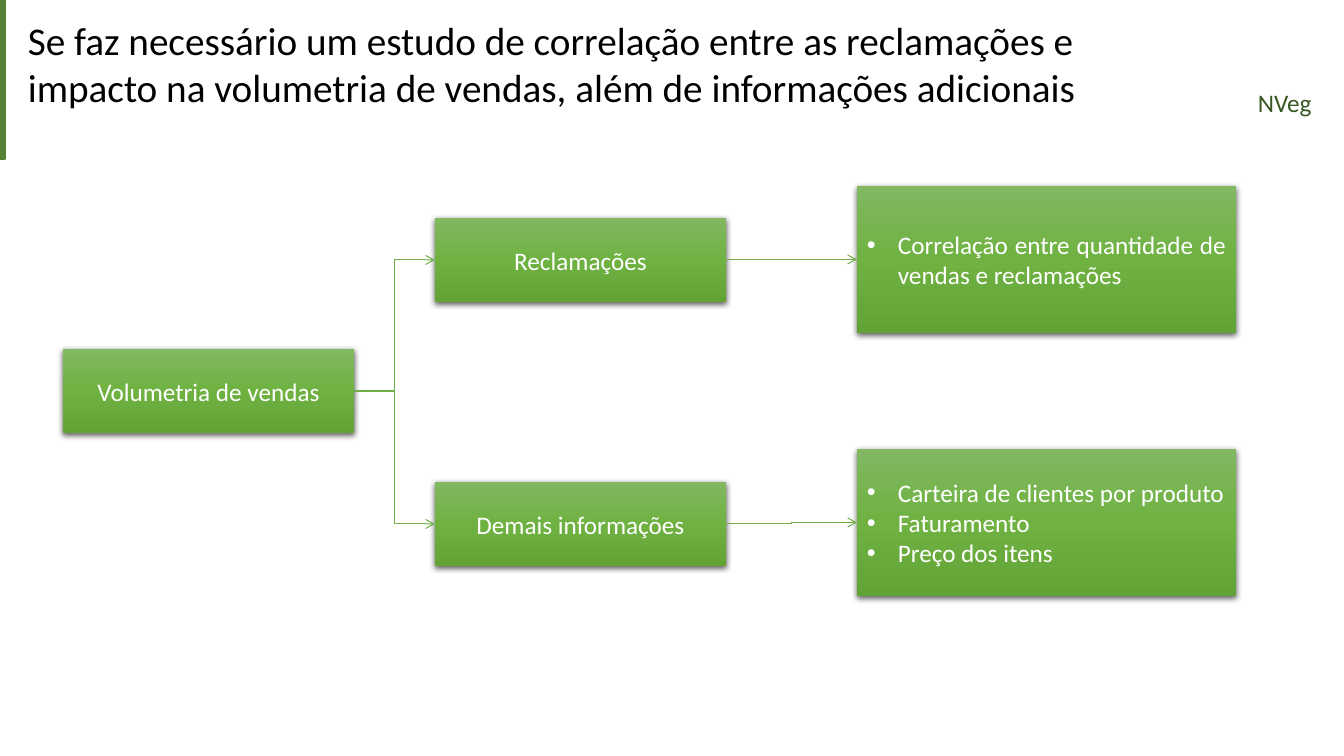
import copy
import lxml.etree
import pptx
import pptx.dml.color
import pptx.enum.dml
import pptx.enum.shapes
import pptx.enum.text
import pptx.oxml
import pptx.oxml.ns
import pptx.util

PIXEL = 914400 / 100.8
COLORS = {
    "black": "000000", "white": "FFFFFF", "accent": "548235", "name": "385723",
    "top": "81B861", "middle": "6FB242", "bottom": "62A336", "arrow": "70AD47",
}
RGB = {key: pptx.dml.color.RGBColor.from_string(value) for key, value in COLORS.items()}
ALIGN = pptx.enum.text.PP_ALIGN
RECTANGLE = pptx.enum.shapes.MSO_SHAPE.RECTANGLE
ELBOW = pptx.enum.shapes.MSO_CONNECTOR.ELBOW
NAMESPACE = pptx.oxml.ns.nsdecls("a")
qn = pptx.oxml.ns.qn

deck = pptx.Presentation()
deck.slide_width, deck.slide_height = round(1344 * PIXEL), round(756 * PIXEL)
page = deck.slides.add_slide(deck.slide_layouts[6])


def place(*pixels):
    return [round(value * PIXEL) for value in pixels]


def write(shape, lines, size=18, color="white", align=ALIGN.LEFT, middle=False, bullets=False):
    frame = shape.text_frame
    frame.word_wrap = True
    anchor = pptx.enum.text.MSO_ANCHOR
    frame.vertical_anchor = anchor.MIDDLE if middle else anchor.TOP
    for index, line in enumerate(lines):
        para = frame.paragraphs[0] if index == 0 else frame.add_paragraph()
        para.alignment = align
        span = para.add_run()
        span.text = line
        span.font.size = pptx.util.Pt(size)
        span.font.name = "Calibri"
        span.font.color.rgb = RGB[color]
        if bullets:
            properties = para._p.get_or_add_pPr()
            indent = place(31)[0]
            properties.set("marL", str(indent))
            properties.set("indent", str(-indent))
            lxml.etree.SubElement(properties, qn("a:buFont")).set("typeface", "Arial")
            lxml.etree.SubElement(properties, qn("a:buChar")).set("char", "•")


title = page.shapes.add_textbox(*place(18, 11, 1185, 105))
write(title, ["Se faz necessário um estudo de correlação entre as reclamações e impacto "
              "na volumetria de vendas, além de informações adicionais"], size=28, color="black")

accent = page.shapes.add_shape(RECTANGLE, *place(0, 0, 5, 159))
accent.shadow.inherit = False
accent.fill.solid()
accent.fill.fore_color.rgb = RGB["accent"]
accent.line.color.rgb = RGB["accent"]
accent.line.width = pptx.util.Pt(1)

company = page.shapes.add_textbox(*place(1248, 82, 84, 40))
write(company, ["NVeg"], color="name")

small, large = (291, 84), (379, 147)
centred = {"align": ALIGN.CENTER}
listed = {"align": ALIGN.JUSTIFY, "bullets": True}
nodes = {
    "sales": (63, 349, small, ["Volumetria de vendas"], centred),
    "complaints": (435, 218, small, ["Reclamações"], centred),
    "others": (435, 482, small, ["Demais informações"], centred),
    "data": (857, 449, large,
             ["Carteira de clientes por produto", "Faturamento", "Preço dos itens"], listed),
    "correlation": (857, 186, large,
                    ["Correlação entre quantidade de vendas e reclamações"], listed),
}
boxes = {}
for name, (left, top, size, lines, style) in nodes.items():
    box = boxes[name] = page.shapes.add_shape(RECTANGLE, *place(left, top, *size))
    box.fill.gradient()
    box.fill.gradient_angle = 270
    stop_list = box._element.spPr.find(".//" + qn("a:gsLst"))
    stop_list.insert(1, copy.deepcopy(stop_list[0]))
    for stop, color, position in zip(box.fill.gradient_stops, ("top", "middle", "bottom"), (0, 0.5, 1)):
        stop.color.rgb = RGB[color]
        stop.position = position
    box.line.fill.background()
    box.shadow.inherit = False
    box._element.spPr.find(qn("a:effectLst")).append(pptx.oxml.parse_xml(
        f'<a:outerShdw {NAMESPACE} blurRad="57150" dist="19050" dir="5400000" algn="ctr" rotWithShape="0">'
        f'<a:srgbClr val="{COLORS["black"]}"><a:alpha val="63000"/></a:srgbClr></a:outerShdw>'))
    write(box, lines, middle=True, **style)

RIGHT_SITE, LEFT_SITE = 3, 1
for source, target in (("sales", "complaints"), ("sales", "others"),
                       ("complaints", "correlation"), ("others", "data")):
    start, end = boxes[source], boxes[target]
    arrow = page.shapes.add_connector(
        ELBOW, start.left + start.width, start.top + start.height // 2,
        end.left, end.top + end.height // 2)
    arrow.begin_connect(start, RIGHT_SITE)
    arrow.end_connect(end, LEFT_SITE)
    arrow.line.color.rgb = RGB["arrow"]
    arrow.line.width = pptx.util.Pt(0.75)
    properties = arrow._element.spPr
    lxml.etree.SubElement(properties.find(qn("a:ln")), qn("a:tailEnd")).set("type", "arrow")
    lxml.etree.SubElement(properties, qn("a:effectLst"))

deck.save("out.pptx")
